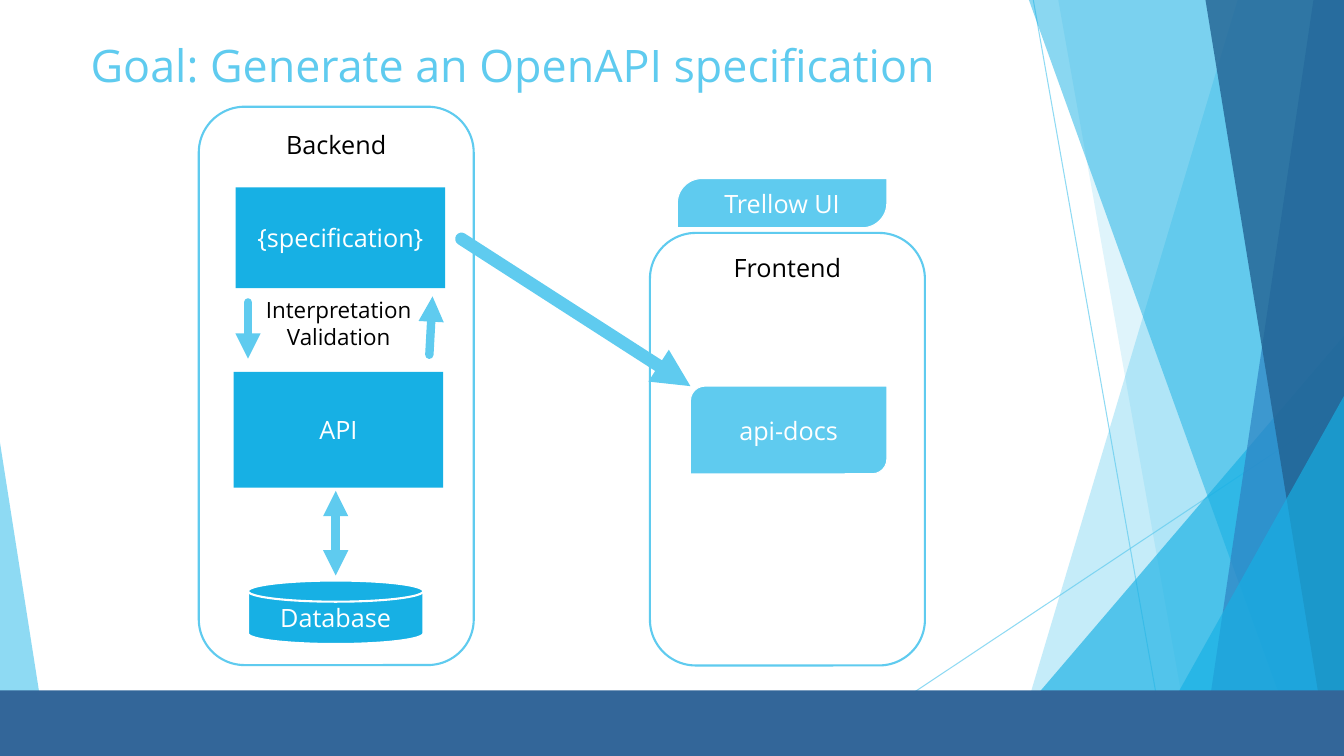
import lxml.etree
import pptx
import pptx.dml.color
import pptx.enum.shapes
import pptx.enum.text
import pptx.oxml.ns
import pptx.util

Cm = pptx.util.Cm
Pt = pptx.util.Pt
SHAPES = pptx.enum.shapes.MSO_SHAPE
ANCHOR = pptx.enum.text.MSO_ANCHOR
qn = pptx.oxml.ns.qn
FONT = "Open Sans"
WIDTH, HEIGHT = 33.87, 19.05
COLORS = {
    "sky": "5FCBEF", "cyan": "17B0E4", "blue": "2E83C3", "navy": "226292",
    "bar": "336699", "white": "FFFFFF", "black": "000000",
}


def paint(fill, color, opacity=100):
    fill.solid()
    fill.fore_color.rgb = pptx.dml.color.RGBColor.from_string(COLORS[color])
    if opacity < 100:
        color_element = fill._xPr.find(".//" + qn("a:srgbClr"))
        lxml.etree.SubElement(color_element, qn("a:alpha"), val=str(opacity * 1000))


def write(shape, lines, color, size=18, anchor=ANCHOR.MIDDLE, alignment=pptx.enum.text.PP_ALIGN.CENTER):
    frame = shape.text_frame
    frame.text = lines
    frame.vertical_anchor = anchor
    for paragraph in frame.paragraphs:
        paragraph.alignment = alignment
        paragraph.font.name = FONT
        paragraph.font.size = Pt(size)
        paint(paragraph.font.fill, color)


presentation = pptx.Presentation()
presentation.slide_width = Cm(WIDTH)
presentation.slide_height = Cm(HEIGHT)
slide = presentation.slides.add_slide(presentation.slide_layouts[5])
shapes = slide.shapes

# Title
title = shapes.title
title.left, title.top, title.width, title.height = Cm(2.03), Cm(0.82), Cm(23.88), Cm(1.6)
write(title, "Goal: Generate an OpenAPI specification", "sky", 32,
      alignment=pptx.enum.text.PP_ALIGN.LEFT)
title.text_frame.auto_size = pptx.enum.text.MSO_AUTO_SIZE.NONE

# Connectors: start, end, width, opacity, arrowheads
thin_lines = [
    (26.04, 0, 29.41, HEIGHT, 0.75, 70, []),
    (WIDTH, 10.24, 20.62, HEIGHT, 0.75, 70, []),
]
arrows = [
    (11.63, 6.02, 17.4, 9.73, 9, 100, ["tailEnd"]),
    (10.82, 8.94, 10.9, 7.47, 6, 100, ["tailEnd"]),
    (6.25, 7.62, 6.25, 9.04, 6, 100, ["tailEnd"]),
    (8.46, 12.37, 8.46, 14.5, 6, 100, ["headEnd", "tailEnd"]),
]

# Decoration: bands run from a top x to a bottom x and fill to the right edge
bands = [
    (31.19, 25.5, "sky", 36),
    (26.67, 30.05, "sky", 20),
    "right triangle",
    (25.93, 32.79, "cyan", 50),
    (33.1, 30.28, "blue", 70),
    (30.38, 33.48, "navy", 80),
    "corner triangle",
    "left triangle",
]
triangles = {
    "right triangle": (24.82, 8.46, 9.05, 1, "cyan", 66),
    "corner triangle": (28.8, 9.98, 5.07, 1, "cyan", 66),
    "left triangle": (0, 11.15, 1.24, 0, "sky", 70),
}

# Containers and boxes: preset, left, top, width, height, fill, outline, outline width,
# text, text colour, top inset (labels at the top only)
boxes = [
    (SHAPES.RECTANGLE, 0, 17.4, WIDTH, 1.65, "bar", None, 0, "", "white", None),
    (SHAPES.ROUNDED_RECTANGLE, 16.38, 5.87, 6.93, 10.9, "white", "sky", 1.5, "Frontend", "black", 0.15),
    (SHAPES.ROUNDED_RECTANGLE, 5.01, 2.69, 6.93, 14.07, "white", "sky", 1.5, "Backend", "black", 0.23),
    (SHAPES.RECTANGLE, 5.94, 4.72, 5.28, 2.54, "cyan", None, 0, "{specification}", "white", None),
    (SHAPES.ROUND_2_DIAG_RECTANGLE, 17.4, 9.73, 4.95, 2.21, "sky", "white", 0.75, "api-docs", "white", None),
    (SHAPES.RECTANGLE, 5.89, 9.37, 5.28, 2.92, "cyan", None, 0, "API", "white", None),
    (SHAPES.FLOWCHART_MAGNETIC_DISK, 6.25, 14.63, 4.42, 1.6, "cyan", "white", 1.5, "Database", "white", None),
    (SHAPES.ROUND_2_DIAG_RECTANGLE, 17.07, 4.5, 5.28, 1.24, "sky", "white", 0.75, "Trellow UI", "white", None),
]

# Thin lines lie behind the decoration and boxes, arrows in front of them
for layer in (thin_lines, arrows):
    for x1, y1, x2, y2, width, opacity, heads in layer:
        connector = shapes.add_connector(
            pptx.enum.shapes.MSO_CONNECTOR.STRAIGHT, Cm(x1), Cm(y1), Cm(x2), Cm(y2))
        connector.line.width = Pt(width)
        paint(connector.line.fill, "sky", opacity)
        properties = connector._element.spPr
        outline = properties.find(qn("a:ln"))
        if heads:
            outline.set("cap", "rnd")
        for head in heads:
            lxml.etree.SubElement(outline, qn("a:" + head), type="triangle")
        lxml.etree.SubElement(properties, qn("a:effectLst"))

    if layer is arrows:
        continue

    for band in bands:
        if band in triangles:
            left, top, width, apex, color, opacity = triangles[band]
            facet = shapes.add_shape(SHAPES.ISOSCELES_TRIANGLE, Cm(left), Cm(top),
                                     Cm(width), Cm(HEIGHT - top))
            facet.adjustments[0] = apex
        else:
            top_x, bottom_x, color, opacity = band
            builder = shapes.build_freeform(Cm(top_x), 0)
            builder.add_line_segments([(Cm(WIDTH), 0), (Cm(WIDTH), Cm(HEIGHT)),
                                       (Cm(bottom_x), Cm(HEIGHT))], close=True)
            facet = builder.convert_to_shape()
        facet.shadow.inherit = False
        facet.line.fill.background()
        paint(facet.fill, color, opacity)

    for preset, left, top, width, height, fill, outline, weight, text, color, inset in boxes:
        box = shapes.add_shape(preset, Cm(left), Cm(top), Cm(width), Cm(height))
        box.shadow.inherit = False
        paint(box.fill, fill)
        if outline:
            paint(box.line.fill, outline)
            box.line.width = Pt(weight)
        else:
            box.line.fill.background()
        if text:
            write(box, text, color, anchor=ANCHOR.MIDDLE if inset is None else ANCHOR.TOP)
        if inset is not None:
            box.text_frame.margin_top = Cm(inset)

    # The tab above the frontend is the last box and has fully rounded corners
    box.adjustments[0] = 0.5

# Label between the specification and the API
label = shapes.add_textbox(Cm(6.45), Cm(7.34), Cm(4.17), Cm(2.39))
write(label, "Interpretation\nValidation", "black", 16, ANCHOR.TOP)
label.text_frame.word_wrap = False

presentation.save("out.pptx")
